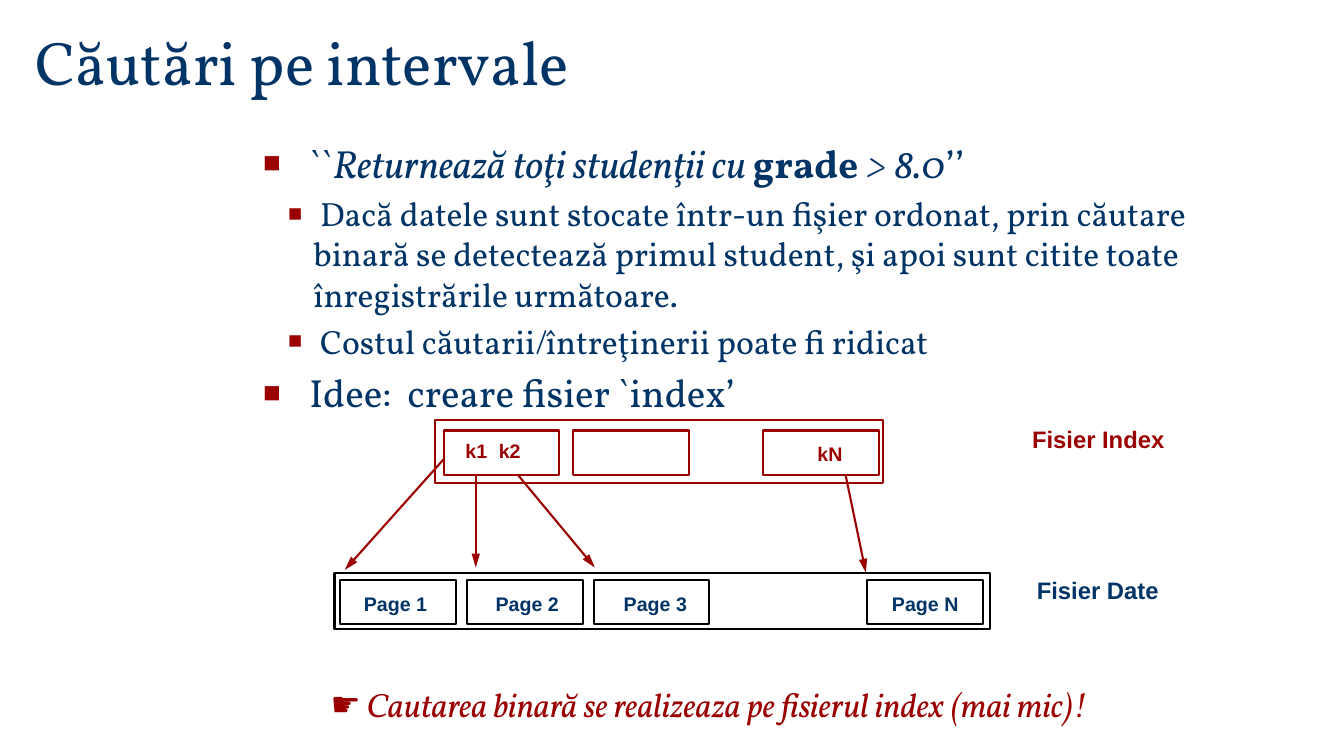
from dataclasses import dataclass
from lxml.etree import SubElement
from pptx import Presentation
from pptx.dml.color import RGBColor
from pptx.enum.shapes import MSO_CONNECTOR, MSO_SHAPE
from pptx.enum.text import MSO_ANCHOR
from pptx.oxml.ns import qn
from pptx.util import Cm, Pt


@dataclass(frozen=True)
class Theme:
    navy: RGBColor = RGBColor(0x00, 0x33, 0x66)
    red: RGBColor = RGBColor(0x9A, 0x00, 0x00)
    black: RGBColor = RGBColor(0x00, 0x00, 0x00)
    white: RGBColor = RGBColor(0xFF, 0xFF, 0xFF)
    serif: str = "Vollkorn"
    sans: str = "Arial"
    title: Pt = Pt(44)
    body: Pt = Pt(28)
    detail: Pt = Pt(24)
    caption: Pt = Pt(17)
    label: Pt = Pt(14)
    line: Pt = Pt(1.5)


theme = Theme()
prs = Presentation()
prs.slide_width, prs.slide_height = Cm(33.87), Cm(19.05)
s = prs.slides.add_slide(prs.slide_layouts[6])


def add_text(x, y, w, h, text, size, color, font=theme.sans, wrap=False):
    tf = s.shapes.add_textbox(Cm(x), Cm(y), Cm(w), Cm(h)).text_frame
    tf.word_wrap = wrap
    tf.text = text
    f = tf.paragraphs[0].runs[0].font
    f.name, f.size, f.color.rgb = font, size, color
    f.bold = font == theme.sans
    return tf


def add_bullet(p, char, color, percent, margin=0, indent=0):
    pPr = p._p.get_or_add_pPr()
    pPr.set("marL", str(Cm(margin)))
    pPr.set("indent", str(Cm(indent)))
    clr = SubElement(pPr, qn("a:buClr"))
    SubElement(clr, qn("a:srgbClr"), val=str(color))
    SubElement(pPr, qn("a:buSzPct"), val=str(percent * 1000))
    SubElement(pPr, qn("a:buFont"), typeface=theme.sans)
    SubElement(pPr, qn("a:buChar"), char=char)


tf = add_text(0.64, 0.46, 29, 2.13, "Căutări pe intervale", theme.title,
              theme.navy, theme.serif, wrap=True)
tf.vertical_anchor = MSO_ANCHOR.BOTTOM

points = [
    (0, [(" ``", False, False), ("Returnează toţi studenţii cu ", False, True),
         ("grade", True, False), (" > 8.0", False, True), ("’’", False, False)]),
    (1, [(" Dacă datele sunt stocate într-un fişier ordonat, prin căutare binară "
          "se detectează primul student, şi apoi sunt citite toate "
          "înregistrările următoare.", False, False)]),
    (1, [(" Costul căutarii/întreţinerii poate fi ridicat", False, False)]),
    (0, [(" Idee:  creare fisier `index’", False, False)]),
]
tf = s.shapes.add_textbox(Cm(6.38), Cm(3.38), Cm(24.1), Cm(13.97)).text_frame
tf.word_wrap = True
for i, (level, runs) in enumerate(points):
    p = tf.add_paragraph() if i else tf.paragraphs[0]
    size = theme.detail if level else theme.body
    p.level = level
    if i:
        p.space_before = Pt(size.pt * 0.2)
    if level:
        add_bullet(p, "■", theme.red, 70, 1.27, -0.64)
    else:
        add_bullet(p, "■", theme.red, 75, 0.97, -0.97)
    for text, bold, italic in runs:
        r = p.add_run()
        r.text = text
        r.font.name, r.font.size, r.font.color.rgb = theme.serif, size, theme.navy
        r.font.bold, r.font.italic = bold, italic

page_boxes = [(x, 14.61, 2.92, 1.12) for x in (8.58, 11.78, 14.96, 21.85)]
index_boxes = [(x, 10.85, 2.92, 1.12) for x in (11.18, 14.45, 19.23)]
files = [
    ((8.43, 14.43, 16.51, 1.43), page_boxes, theme.black, []),
    ((10.97, 10.59, 11.29, 1.59), index_boxes, theme.red, [
        (11.38, 11.35, 8.69, 14.36),
        (11.99, 11.71, 11.99, 14.3),
        (12.88, 11.76, 14.99, 14.3),
        (21.26, 11.73, 21.82, 14.43),
    ]),
]
for frame, boxes, color, arrows in files:
    for x1, y1, x2, y2 in arrows:
        sp = s.shapes.add_connector(MSO_CONNECTOR.STRAIGHT, Cm(x1), Cm(y1), Cm(x2), Cm(y2))
        sp.line.color.rgb, sp.line.width = color, theme.line
        SubElement(sp.line._get_or_add_ln(), qn("a:tailEnd"), type="triangle", w="med", len="lg")
        SubElement(sp._element.spPr, qn("a:effectLst"))
    for box in [*boxes, frame]:
        sp = s.shapes.add_shape(MSO_SHAPE.RECTANGLE, *map(Cm, box))
        sp.shadow.inherit = False
        sp.line.color.rgb, sp.line.width = color, theme.line
        if box == frame:
            sp.fill.background()
        else:
            sp.fill.solid()
            sp.fill.fore_color.rgb = theme.white

labels = [
    ("Page 1", 8.92, 14.78, 2.11, theme.navy),
    ("Page 2", 12.24, 14.78, 2.11, theme.navy),
    ("Page 3", 15.47, 14.78, 2.11, theme.navy),
    ("Page N", 22.23, 14.78, 2.18, theme.navy),
    ("k1", 11.48, 10.93, 1.07, theme.red),
    ("k2", 12.32, 10.93, 1.07, theme.red),
    ("kN", 20.35, 11, 1.14, theme.red),
]
for text, x, y, w, color in labels:
    add_text(x, y, w, 0.84, text, theme.label, color)

add_text(25.76, 10.59, 3.89, 0.97, "Fisier Index", theme.caption, theme.red)
add_text(25.88, 14.38, 3.61, 0.97, "Fisier Date", theme.caption, theme.navy)

conclusion = "Cautarea binară se realizeaza pe fisierul index (mai mic)!"
tf = add_text(8.08, 17.12, 20.7, 1.27, " " + conclusion, theme.detail, theme.red, theme.serif)
p = tf.paragraphs[0]
add_bullet(p, "☛", theme.red, 100)
p.runs[0].font.italic = True

prs.save("out.pptx")
